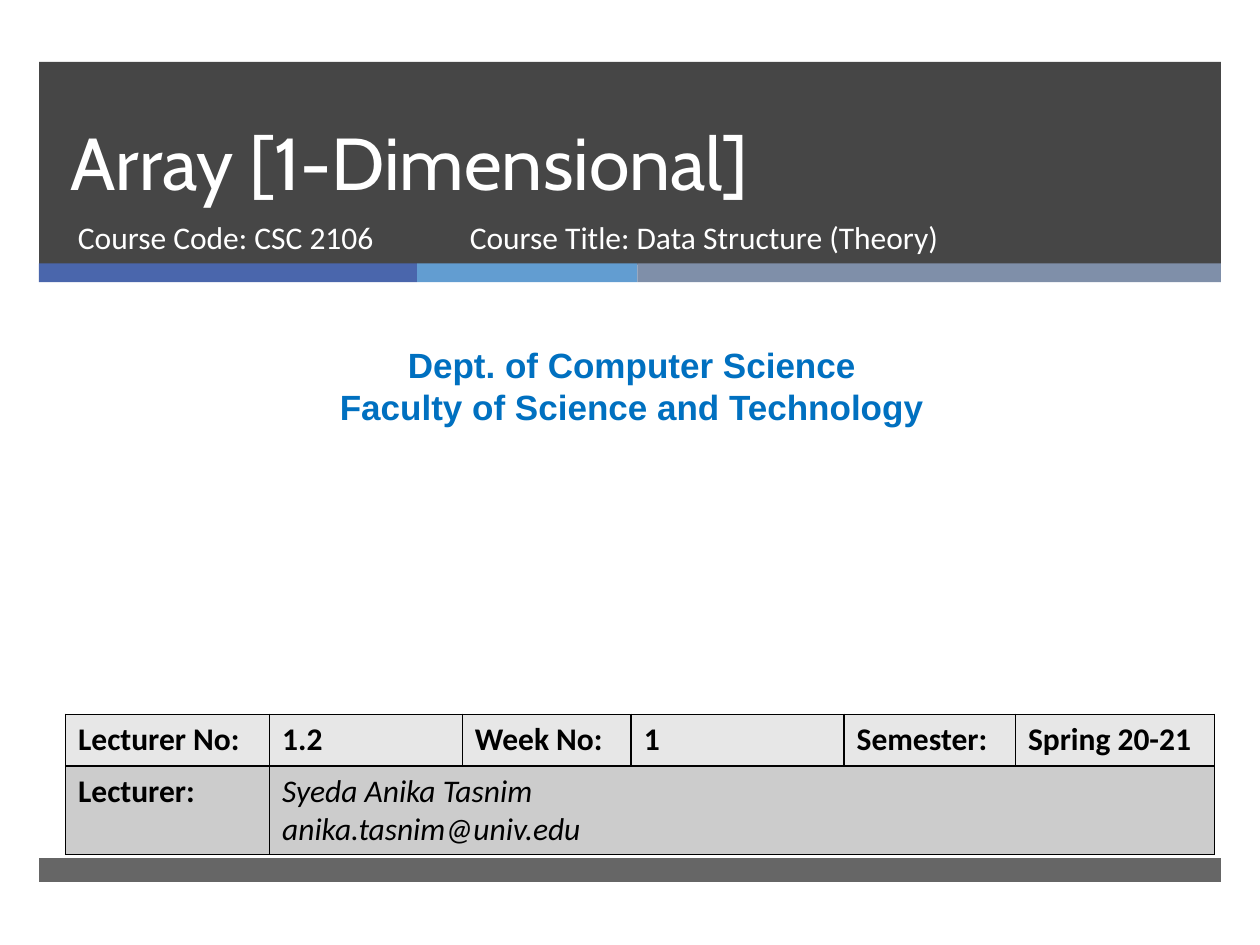
from lxml import etree
from pptx import Presentation
from pptx import util as u
from pptx.dml.color import RGBColor
from pptx.enum import shapes, text
from pptx.oxml import ns

COLORS = {"dark": "262626", "indigo": "4A66AC", "sky": "629DD1", "slate": "7F8FA9",
          "white": "FFFFFF", "blue": "0070C0", "black": "000000",
          "header": "E7E7E7", "body": "CCCCCC"}
TITLE = "Array [1-Dimensional]"
COURSE = [("Course Code: CSC 2106", 0.52, 3.05),
          ("Course Title: Data Structure (Theory)", 3.63, 4.55)]
DEPARTMENT = ["Dept. of Computer Science", "Faculty of Science and Technology"]
LECTURE = ["Lecturer No:", "1.2", "Week No:", "1", "Semester:", "Spring 20-21"]
LECTURER = ["Syeda Anika Tasnim", "anika.tasnim@univ.edu"]
COLUMN_WIDTHS = [1.62, 1.53, 1.34, 1.69, 1.36, 1.58]
ROW_HEIGHTS = [0.41, 0.7]
STRIPES = [("indigo", 3), ("sky", 1.75), ("slate", 4.63)]
LEFT, WIDTH = 0.31, 9.38


def color(name):
    return RGBColor.from_string(COLORS[name])


def write(frame, lines, size=18, font="Calibri", ink="black", bold=False,
          italic=False, align=text.PP_ALIGN.LEFT, spacing=None):
    frame.word_wrap = True
    for index, line in enumerate(lines):
        paragraph = frame.add_paragraph() if index else frame.paragraphs[0]
        paragraph.alignment = align
        if spacing:
            paragraph.line_spacing = u.Pt(spacing)
        run = paragraph.add_run()
        run.text = line
        run.font.size, run.font.name = u.Pt(size), font
        run.font.bold, run.font.italic = bold, italic
        run.font.color.rgb = color(ink)


def place(*box):
    return [u.Inches(length) for length in box]


def add_bar(slide, fill, *box, opacity=100):
    bar = slide.shapes.add_shape(shapes.MSO_SHAPE.RECTANGLE, *place(*box))
    bar.shadow.inherit = False
    bar.line.fill.background()
    bar.fill.solid()
    bar.fill.fore_color.rgb = color(fill)
    if opacity < 100:
        solid = bar.element.spPr.find(ns.qn("a:solidFill"))
        etree.SubElement(solid[0], ns.qn("a:alpha"), val=str(opacity * 1000))


def style_cell(cell, fill):
    cell.fill.solid()
    cell.fill.fore_color.rgb = color(fill)
    properties = cell._tc.get_or_add_tcPr()
    for index, side in enumerate(("a:lnL", "a:lnR", "a:lnT", "a:lnB")):
        border = etree.Element(ns.qn(side), w=str(u.Pt(1)))
        solid = etree.SubElement(border, ns.qn("a:solidFill"))
        etree.SubElement(solid, ns.qn("a:srgbClr"), val=COLORS["black"])
        properties.insert(index, border)


def add_lecture_table(slide):
    table = slide.shapes.add_table(
        2, len(LECTURE), *place(0.52, 5.67, sum(COLUMN_WIDTHS), sum(ROW_HEIGHTS))).table
    for column, width in zip(table.columns, COLUMN_WIDTHS):
        column.width = u.Inches(width)
    for row, height, fill in zip(table.rows, ROW_HEIGHTS, ("header", "body")):
        row.height = u.Inches(height)
        for cell in row.cells:
            style_cell(cell, fill)
    for index, label in enumerate(LECTURE):
        write(table.cell(0, index).text_frame, [label], bold=True)
    table.cell(1, 1).merge(table.cell(1, len(LECTURE) - 1))
    write(table.cell(1, 0).text_frame, ["Lecturer:"], bold=True)
    write(table.cell(1, 1).text_frame, LECTURER, italic=True)


def main():
    """Build the title slide of a lecture on one-dimensional arrays."""
    deck = Presentation()
    deck.slide_width, deck.slide_height = place(10, 7.5)
    slide = deck.slides.add_slide(deck.slide_layouts[5])

    add_bar(slide, "dark", LEFT, 0.49, WIDTH, 1.61, opacity=85)
    stripe_left = LEFT
    for fill, width in STRIPES:
        add_bar(slide, fill, stripe_left, 2.09, width, 0.15)
        stripe_left += width
    add_bar(slide, "dark", LEFT, 6.81, WIDTH, 0.19, opacity=70)

    title = slide.shapes.title
    title.element.getparent().append(title.element)
    title.left, title.top, title.width, title.height = place(0.46, 0.49, 8.54, 1.19)
    title.text_frame.auto_size = text.MSO_AUTO_SIZE.NONE
    title.text_frame.vertical_anchor = text.MSO_ANCHOR.BOTTOM
    write(title.text_frame, [TITLE], size=42, font="Cabin", ink="white", spacing=46)

    for label, left, width in COURSE:
        course = slide.shapes.add_textbox(*place(left, 1.68, width, 0.53))
        write(course.text_frame, [label], ink="white")
    department = slide.shapes.add_textbox(*place(0.08, 2.68, 9.87, 0.77))
    write(department.text_frame, DEPARTMENT, size=20, font="Arial", ink="blue",
          bold=True, align=text.PP_ALIGN.CENTER, spacing=24)
    add_lecture_table(slide)
    deck.save("out.pptx")


if __name__ == "__main__":
    main()
